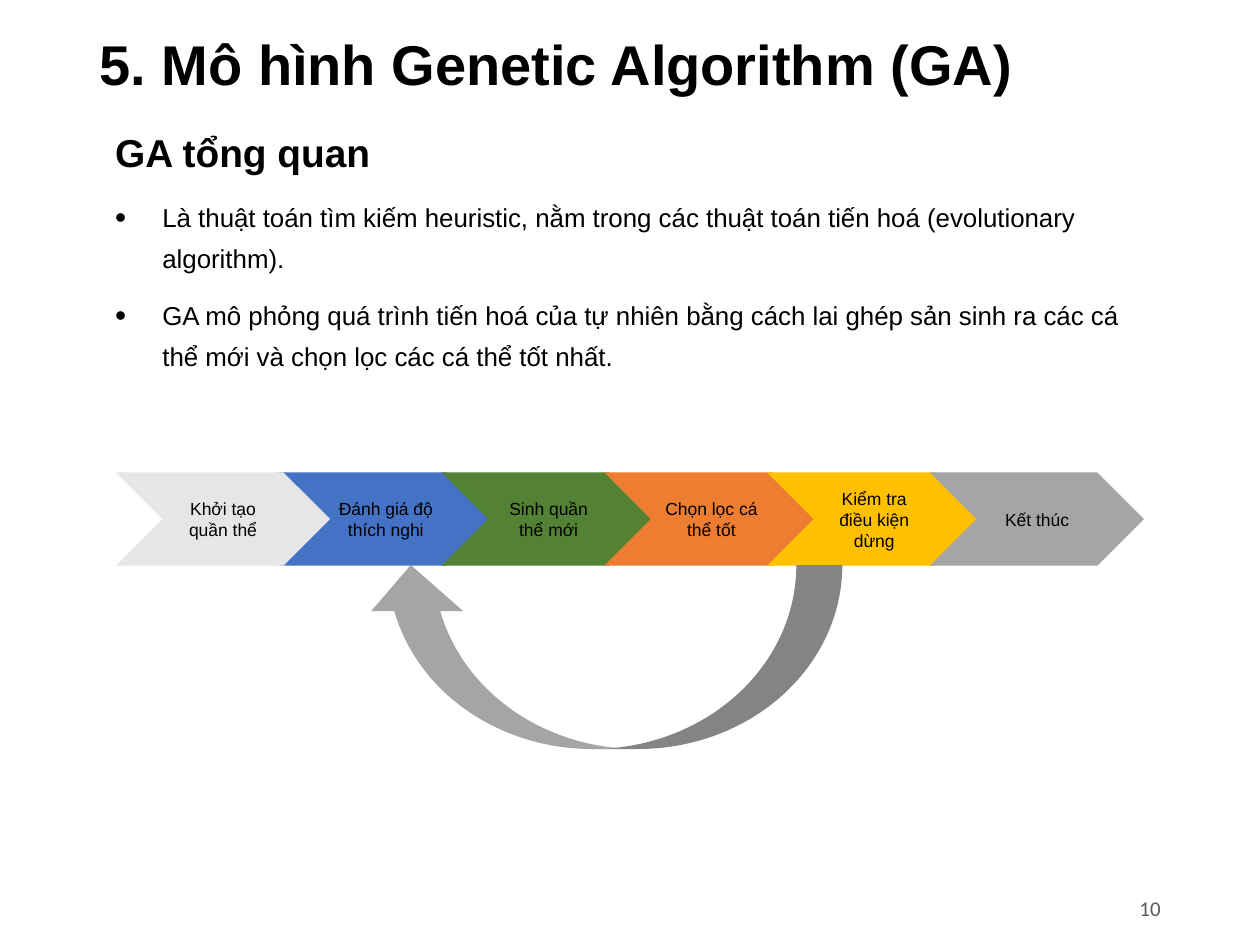
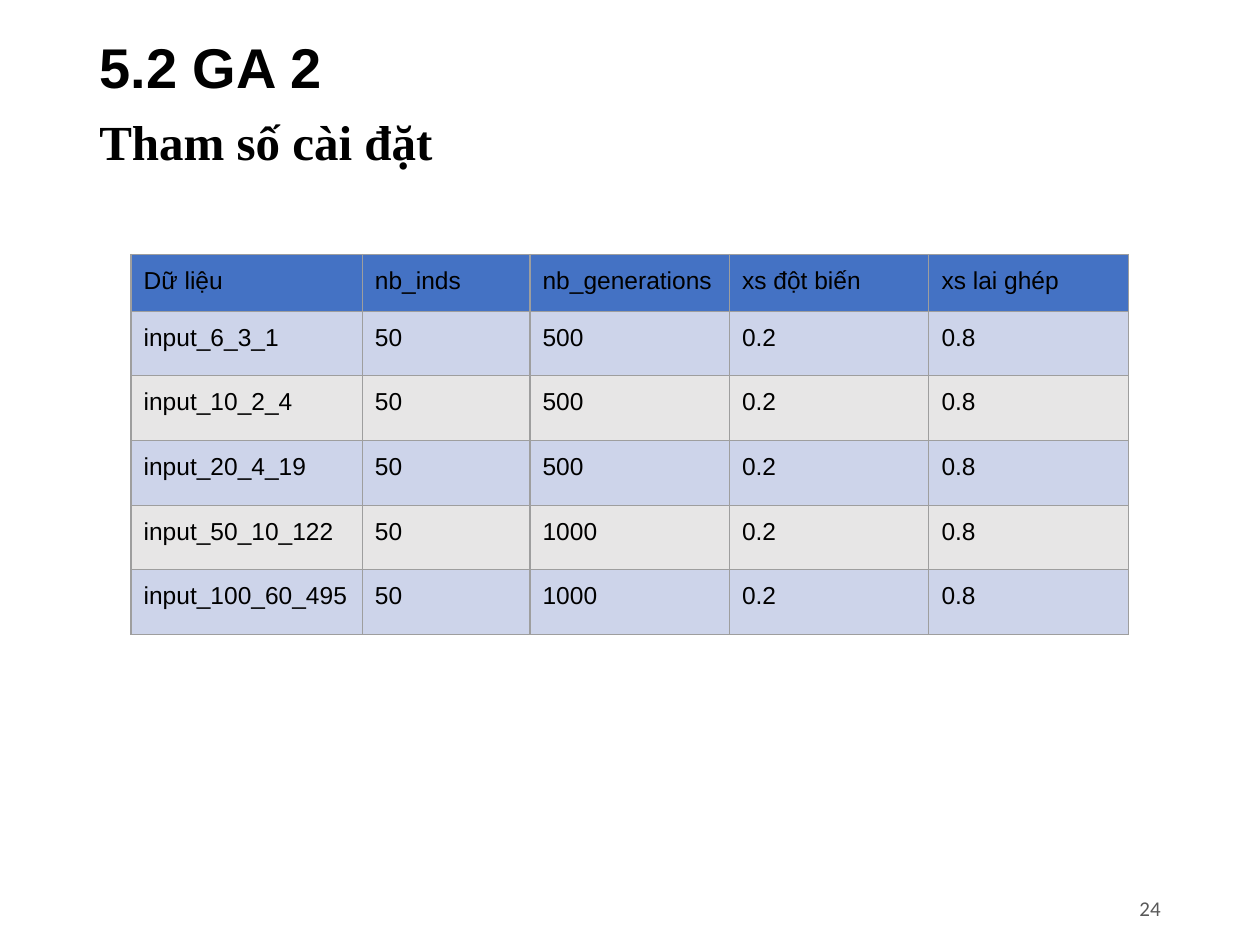
from lxml import etree
from pptx import Presentation
from pptx.dml.color import RGBColor
from pptx.enum.shapes import MSO_SHAPE
from pptx.enum.text import MSO_ANCHOR, MSO_AUTO_SIZE, PP_ALIGN
from pptx.oxml.ns import qn
from pptx.util import Pt

CHEVRON = MSO_SHAPE.CHEVRON
CURVED_ARROW = MSO_SHAPE.CURVED_LEFT_ARROW
MIDDLE, TOP = MSO_ANCHOR.MIDDLE, MSO_ANCHOR.TOP
NO_FIT = MSO_AUTO_SIZE.NONE
LEFT, CENTER, RIGHT = PP_ALIGN.LEFT, PP_ALIGN.CENTER, PP_ALIGN.RIGHT

COLORS = {
    "text": "000000",
    "page_number": "595959",
    "blue": "4472C4",
    "green": "548235",
    "orange": "ED7D31",
    "yellow": "FFC000",
    "gray": "A5A5A5",
    "light_gray": "E7E6E6",
    "light_blue": "CDD4EA",
    "border": "9E9E9E",
}
MARGIN_LEFT, CONTENT_WIDTH = 49.68, 620.64


def write(frame, texts, size, font="Arial", bold=False, color="text",
          align=LEFT, anchor=TOP, spacing=1.0, before=0):
    frame.word_wrap = True
    frame.vertical_anchor = anchor
    for number, text in enumerate(texts):
        paragraph = frame.add_paragraph() if number else frame.paragraphs[0]
        paragraph.text = text
        paragraph.alignment = align
        paragraph.line_spacing = spacing
        paragraph.space_before = Pt(before)
        paragraph.font.size = Pt(size)
        paragraph.font.name = font
        paragraph.font.bold = bold
        paragraph.font.color.rgb = RGBColor.from_string(COLORS[color])
    return frame.paragraphs


def add_flat_shape(page, kind, left, top, width, height, color):
    shape = page.shapes.add_shape(kind, Pt(left), Pt(top), Pt(width), Pt(height))
    shape.shadow.inherit = False
    shape.fill.solid()
    shape.fill.fore_color.rgb = RGBColor.from_string(COLORS[color])
    shape.line.fill.background()
    return shape


deck = Presentation()
deck.slide_width, deck.slide_height = Pt(720), Pt(540)

pages = []
for title_text, title_top, title_height, title_spacing, page_number in [
    ("5. Mô hình Genetic Algorithm (GA)", 9.36, 58.32, 0.9, "10"),
    ("5.2 GA 2", 11.52, 52.56, 1.0, "24"),
]:
    page = deck.slides.add_slide(deck.slide_layouts[5])
    title = page.shapes.title
    title.left, title.top = Pt(MARGIN_LEFT), Pt(title_top)
    title.width, title.height = Pt(CONTENT_WIDTH), Pt(title_height)
    title.text_frame.auto_size = NO_FIT
    write(title.text_frame, [title_text], 32, bold=True, anchor=MIDDLE,
          spacing=title_spacing)
    number_box = page.shapes.add_textbox(Pt(580.32), Pt(504.72), Pt(90), Pt(28.8))
    write(number_box.text_frame, [page_number], 12, font="Calibri",
          color="page_number", align=RIGHT, anchor=MIDDLE)
    pages.append(page)
overview_page, settings_page = pages

overview_box = overview_page.shapes.add_textbox(
    Pt(MARGIN_LEFT), Pt(61.92), Pt(CONTENT_WIDTH), Pt(170.64))
heading, *points = write(overview_box.text_frame, [
    "GA tổng quan",
    "Là thuật toán tìm kiếm heuristic, nằm trong các thuật toán tiến hoá (evolutionary algorithm).",
    "GA mô phỏng quá trình tiến hoá của tự nhiên bằng cách lai ghép sản sinh ra các cá thể mới và chọn lọc các cá thể tốt nhất.",
], 14.8, spacing=1.3, before=10)
heading.font.size = Pt(22.2)
heading.font.bold = True
heading._p.get_or_add_pPr().set("marL", str(Pt(9)))
for point in points:
    properties = point._p.get_or_add_pPr()
    properties.set("marL", str(Pt(36)))
    properties.set("indent", str(Pt(-27)))
    bullet_size = etree.Element(qn("a:buSzPct"), val="122000")
    bullet_font = etree.Element(qn("a:buFont"), typeface="Arial")
    bullet = etree.Element(qn("a:buChar"), char="•")
    run_defaults = properties.find(qn("a:defRPr"))
    for element in (bullet_size, bullet_font, bullet):
        run_defaults.addprevious(element)

STEP_LEFT, STEP_TOP, STEP_PITCH = 66.24, 270, 93.03
for position, label, color in [
    (1, "Đánh giá độ thích nghi", "blue"),
    (2, "Sinh quần thể mới", "green"),
    (3, "Chọn lọc cá thể tốt", "orange"),
    (0, "Khởi tạo quần thể", "light_gray"),
    (4, "Kiểm tra điều kiện dừng", "yellow"),
    (5, "Kết thúc", "gray"),
]:
    step = add_flat_shape(overview_page, CHEVRON, STEP_LEFT + position * STEP_PITCH,
                          STEP_TOP, 122.4, 53.28, color)
    write(step.text_frame, [label], 10, align=CENTER, anchor=MIDDLE)

loop_arrow = add_flat_shape(overview_page, CURVED_ARROW,
                            292.32, 239.04, 105.12, 272.88, "gray")
loop_arrow.rotation = 90
for index, adjustment in enumerate((0.25, 0.5, 0.25)):
    loop_arrow.adjustments[index] = adjustment

settings_box = settings_page.shapes.add_textbox(
    Pt(MARGIN_LEFT), Pt(64.08), Pt(CONTENT_WIDTH), Pt(414.72))
write(settings_box.text_frame, ["Tham số cài đặt"], 28,
      font="Times New Roman", bold=True, spacing=0.9, before=10)

settings = [["Dữ liệu", "nb_inds", "nb_generations", "xs đột biến", "xs lai ghép"]]
for data_name, generations in [
    ("input_6_3_1", "500"),
    ("input_10_2_4", "500"),
    ("input_20_4_19", "500"),
    ("input_50_10_122", "1000"),
    ("input_100_60_495", "1000"),
]:
    settings.append([data_name, "50", generations, "0.2", "0.8"])

column_widths = [132.2, 95.8, 114, 114, 114]
row_heights = [32.4] + [36.95] * 5
table = settings_page.shapes.add_table(
    len(settings), len(column_widths), Pt(74.88), Pt(145.44),
    Pt(sum(column_widths)), Pt(sum(row_heights))).table
table.first_row = False
table.horz_banding = False
for column, width in zip(table.columns, column_widths):
    column.width = Pt(width)
for row_index, (row, height, values) in enumerate(zip(table.rows, row_heights, settings)):
    row.height = Pt(height)
    band = "light_blue" if row_index % 2 else "light_gray"
    for cell, value in zip(row.cells, values):
        cell.margin_left = cell.margin_right = Pt(7.2)
        cell.margin_top = cell.margin_bottom = Pt(7.2)
        write(cell.text_frame, [value], 14)
        properties = cell._tc.get_or_add_tcPr()
        for side in ("a:lnL", "a:lnR", "a:lnT", "a:lnB"):
            border = etree.SubElement(properties, qn(side), w=str(Pt(0.75)))
            border_fill = etree.SubElement(border, qn("a:solidFill"))
            etree.SubElement(border_fill, qn("a:srgbClr"), val=COLORS["border"])
        cell.fill.solid()
        cell.fill.fore_color.rgb = RGBColor.from_string(COLORS[band if row_index else "blue"])

deck.save("out.pptx")
